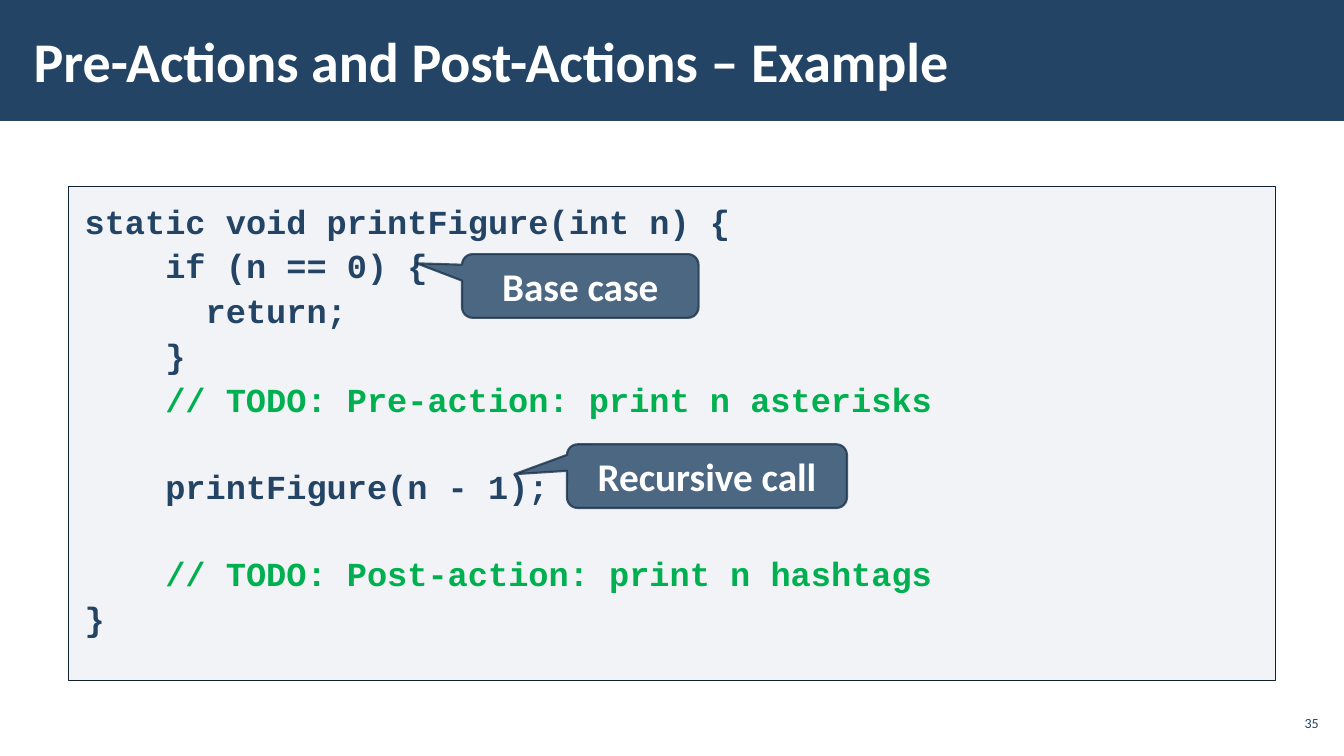
from pptx import Presentation
from pptx.dml.color import RGBColor
from pptx.enum.shapes import MSO_SHAPE as Preset
from pptx.enum.text import MSO_ANCHOR as Anchor, PP_ALIGN as Align
from pptx.oxml.ns import qn
from pptx.util import Inches, Pt
from lxml.etree import SubElement

WIDTH, HEIGHT = 13.33, 7.5
COLORS = {"navy": "234465", "mist": "ADB4C3", "frame": "112233",
          "edge": "1A334C", "comment": "00B050", "white": "FFFFFF"}
BODY_FONT, CODE_FONT = "Calibri", "Courier New"
LINE_HEIGHT, LINE_GAP = 28.5, 1.7
CODE = [
    (0, [("static void printFigure(int n) {", "navy")]),
    (0, [("    if (n == 0) {", "navy")]),
    (0, [("      return;", "navy")]),
    (0, [("    }", "navy")]),
    (0, [("    ", "navy"), ("// TODO: Pre-action: print n asterisks", "comment")]),
    (1, [("    printFigure(n - 1);", "navy")]),
    (1, [("    // TODO: Post-action: print n hashtags", "comment")]),
    (0, [("}", "navy")]),
]
CALLOUTS = [
    ("Base case", (0.326, 0.137, 0.196, 0.129), (-0.692, -0.355)),
    ("Recursive call", (0.413, 0.522, 0.232, 0.129), (-0.688, -0.03)),
]


def color(name):
    """Return the named colour."""
    return RGBColor.from_string(COLORS[name])


def within(box, shares):
    """Turn shares of a box into a box in inches."""
    left, top, width, height = box
    x, y, w, h = shares
    return left + x * width, top + y * height, w * width, h * height


def paint(format_fill, name, opacity=100):
    """Fill with a colour at the given opacity in percent."""
    format_fill.solid()
    format_fill.fore_color.rgb = color(name)
    if opacity < 100:
        solid = format_fill._xPr.find(qn("a:solidFill"))
        SubElement(solid[0], qn("a:alpha"), val=str(opacity * 1000))


def add_box(slide, preset, box, fill, opacity=100):
    """Add a filled shape without line or shadow."""
    shape = slide.shapes.add_shape(preset, *map(Inches, box))
    shape.shadow.inherit = False
    paint(shape.fill, fill, opacity)
    shape.line.fill.background()
    return shape


def set_frame(shape, insets, anchor):
    """Set wrapping, insets and anchor, and return the text frame."""
    frame = shape.text_frame
    frame.word_wrap = True
    frame.vertical_anchor = anchor
    frame.margin_left = frame.margin_right = Inches(insets[0])
    frame.margin_top = frame.margin_bottom = Inches(insets[1])
    return frame


def add_run(paragraph, text, size, name, font=BODY_FONT, bold=True):
    """Add a styled run to a paragraph."""
    run = paragraph.add_run()
    run.text = text
    run.font.name, run.font.size, run.font.bold = font, Pt(size), bold
    run.font.color.rgb = color(name)


def add_header(slide, box):
    """Add the band with the slide title."""
    add_box(slide, Preset.RECTANGLE, box, "navy")
    title_box = within(box, (0.016, 0.09, 0.78, 0.81))
    title = slide.shapes.add_textbox(*map(Inches, title_box))
    frame = set_frame(title, (0.12, 0.04), Anchor.MIDDLE)
    add_run(frame.paragraphs[0], "Pre-Actions and Post-Actions – Example", 40, "white")


def add_code_panel(slide, box):
    """Add the framed code listing and its callouts."""
    panel = add_box(slide, Preset.RECTANGLE, box, "mist", 15)
    paint(panel.line.fill, "frame")
    panel.line.width = Pt(1)
    frame = set_frame(panel, (0.16, 0.12), Anchor.TOP)
    for index, (skipped, runs) in enumerate(CODE):
        paragraph = frame.add_paragraph() if index else frame.paragraphs[0]
        paragraph.alignment = Align.LEFT
        paragraph.line_spacing = 1.05
        paragraph.space_before = Pt(skipped * (LINE_HEIGHT + LINE_GAP))
        paragraph.space_after = Pt(LINE_GAP)
        for text, name in runs:
            add_run(paragraph, text, 24, name, CODE_FONT)
    for label, shares, pointer in CALLOUTS:
        add_callout(slide, within(box, shares), label, pointer)


def add_callout(slide, box, label, pointer):
    """Add a rounded callout whose tip is offset by shares of its size."""
    callout = add_box(slide, Preset.ROUNDED_RECTANGULAR_CALLOUT, box, "navy", 80)
    for index, offset in enumerate(pointer):
        callout.adjustments[index] = offset
    paint(callout.line.fill, "edge", 80)
    callout.line.width = Pt(1.5)
    paragraph = set_frame(callout, (0.1, 0.05), Anchor.MIDDLE).paragraphs[0]
    paragraph.alignment = Align.CENTER
    add_run(paragraph, label, 28, "white")


def add_page_number(slide, box):
    """Add the slide number."""
    number = slide.shapes.add_textbox(*map(Inches, box))
    paragraph = set_frame(number, (0.04, 0.04), Anchor.MIDDLE).paragraphs[0]
    paragraph.alignment = Align.RIGHT
    add_run(paragraph, "35", 10, "navy", bold=False)


def main():
    """Build and save the slide."""
    presentation = Presentation()
    presentation.slide_width, presentation.slide_height = Inches(WIDTH), Inches(HEIGHT)
    slide = presentation.slides.add_slide(presentation.slide_layouts[6])
    page = (0, 0, WIDTH, HEIGHT)
    add_header(slide, within(page, (0, 0, 1, 0.16)))
    add_code_panel(slide, (0.68, 1.85, 11.97, 4.9))
    add_page_number(slide, (12.65, 7, 0.47, 0.34))
    presentation.save("out.pptx")


if __name__ == "__main__":
    main()
